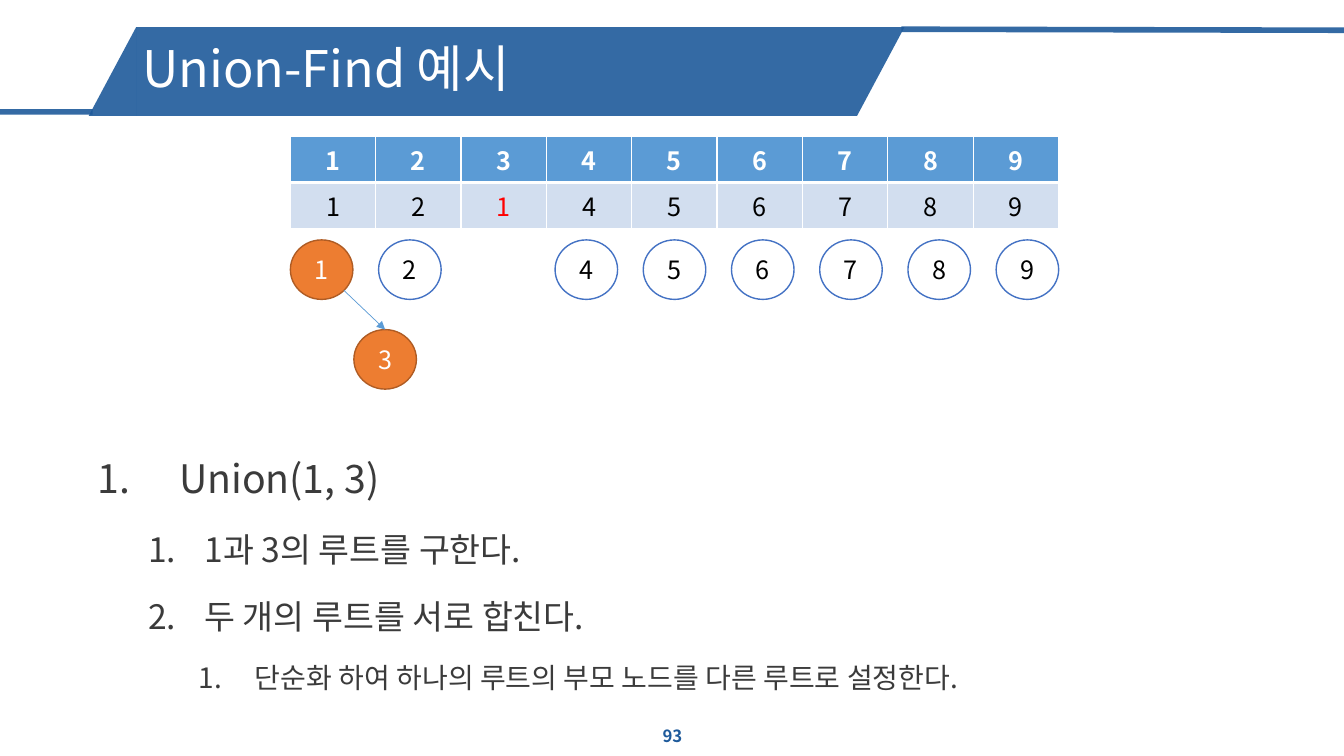
from dataclasses import dataclass

from lxml.etree import SubElement
from pptx import Presentation
from pptx.dml.color import RGBColor
from pptx.enum.shapes import MSO_CONNECTOR, MSO_SHAPE
from pptx.enum.text import MSO_ANCHOR, MSO_AUTO_SIZE, PP_ALIGN
from pptx.oxml.ns import qn
from pptx.util import Inches, Pt


@dataclass(frozen=True)
class Theme:
    font: str = "Noto Sans CJK KR"
    band: str = "1E5A9B"
    white: str = "FFFFFF"
    black: str = "000000"
    body: str = "3B3B3B"
    changed: str = "FF0000"
    header: str = "5B9BD5"
    row: str = "D2DEEF"
    merged: str = "ED7D31"
    merged_line: str = "AF5C24"
    node_line: str = "4472C4"
    title_size: int = 36
    level_sizes: tuple = (28, 24, 20)
    label_size: int = 18
    number_size: int = 12


THEME = Theme()


def color(value):
    return RGBColor.from_string(value)


def write(para, text, size, ink, bold=False, **layout):
    """Fill a paragraph with one formatted span."""
    for name, value in layout.items():
        setattr(para, name, value)
    span = para.add_run()
    span.text = text
    for name, value in dict(name=THEME.font, size=Pt(size), bold=bold).items():
        setattr(span.font, name, value)
    span.font.color.rgb = color(ink)
    SubElement(span.font._element, qn("a:ea"), typeface=THEME.font)


def format_frame(frame, **values):
    for name, value in values.items():
        setattr(frame, name, value)


def make_translucent(fill_element):
    SubElement(fill_element.find(".//" + qn("a:srgbClr")), qn("a:alpha"), val="90000")


def add_line(page, start, end, ink, width):
    line = page.shapes.add_connector(
        MSO_CONNECTOR.STRAIGHT, *(Inches(value) for value in (*start, *end)))
    line.line.color.rgb = color(ink)
    line.line.width = Pt(width)
    SubElement(line._element.spPr, qn("a:effectLst"))
    return line


# Title band
def add_title(page, left, top, width, height):
    slant = 0.47
    turned_top = top + (height - slant) / 2
    turn_shift = (height - slant) / 2
    parts = [
        (MSO_SHAPE.RIGHT_TRIANGLE, left + width - turn_shift, turned_top, height, slant, 90),
        (MSO_SHAPE.RIGHT_TRIANGLE, left - slant - turn_shift, turned_top, height, slant, 270),
        (MSO_SHAPE.RECTANGLE, left, top, width, height, 0),
    ]
    for kind, *box, rotation in parts:
        part = page.shapes.add_shape(kind, *(Inches(value) for value in box))
        part.rotation = rotation
        part.shadow.inherit = False
        part.fill.solid()
        part.fill.fore_color.rgb = color(THEME.band)
        part.line.fill.background()
        make_translucent(part._element.spPr.find(qn("a:solidFill")))

    for start, end in [((0.92, 1.11), (-0.03, 1.11)), ((13.33, 0.3), (8.94, 0.29))]:
        rule = add_line(page, start, end, THEME.band, 4)
        make_translucent(rule._element.spPr.find(qn("a:ln")))

    title = page.shapes.title
    place = dict(left=left - 0.04, top=top + 0.03, width=width, height=0.81)
    for name, value in place.items():
        setattr(title, name, Inches(value))
    format_frame(title.text_frame, word_wrap=True, auto_size=MSO_AUTO_SIZE.NONE,
                 vertical_anchor=MSO_ANCHOR.MIDDLE)
    write(title.text_frame.paragraphs[0], "Union-Find 예시", THEME.title_size,
          THEME.white, alignment=PP_ALIGN.LEFT, line_spacing=0.9)
    # Bring the title in front of the band
    page.shapes._spTree.append(title._element)


# Parent table
def set_borders(cell, bottom_width):
    properties = cell._tc.get_or_add_tcPr()
    widths = dict(lnL=1, lnR=1, lnT=1, lnB=bottom_width)
    for index, (side, width) in enumerate(widths.items()):
        border = properties.makeelement(qn("a:" + side), {"w": str(Pt(width))})
        fill = SubElement(border, qn("a:solidFill"))
        SubElement(fill, qn("a:srgbClr"), val=THEME.white)
        properties.insert(index, border)


def add_parent_table(page, left, top, width, row_height):
    parents = [1, 2, 1, 4, 5, 6, 7, 8, 9]
    rows = [range(1, 10), parents]
    table = page.shapes.add_table(
        2, 9, Inches(left), Inches(top), Inches(width), Inches(2 * row_height)).table
    for r, values in enumerate(rows):
        table.rows[r].height = Inches(row_height)
        for c, value in enumerate(values):
            cell = table.cell(r, c)
            cell.fill.solid()
            cell.fill.fore_color.rgb = color(THEME.row if r else THEME.header)
            set_borders(cell, 1 if r else 3)
            ink = THEME.white if r == 0 else (
                THEME.black if value == c + 1 else THEME.changed)
            write(cell.text_frame.paragraphs[0], str(value), THEME.label_size, ink,
                  bold=r == 0, alignment=PP_ALIGN.CENTER)


# Forest of nodes
def add_node(page, label, left, top, merged):
    node = page.shapes.add_shape(
        MSO_SHAPE.OVAL, Inches(left), Inches(top), Inches(0.62), Inches(0.59))
    node.shadow.inherit = False
    node.fill.solid()
    node.fill.fore_color.rgb = color(THEME.merged if merged else THEME.white)
    node.line.color.rgb = color(THEME.merged_line if merged else THEME.node_line)
    node.line.width = Pt(1)
    format_frame(node.text_frame, margin_left=0, margin_right=0, margin_top=0,
                 margin_bottom=0, vertical_anchor=MSO_ANCHOR.MIDDLE)
    write(node.text_frame.paragraphs[0], str(label), THEME.label_size,
          THEME.white if merged else THEME.black, alignment=PP_ALIGN.CENTER)
    return node


def add_forest(page, left, top, step):
    child_left, child_top = left + 0.63, top + 0.89
    for label in range(1, 10):
        if label == 3:
            child = add_node(page, label, child_left, child_top, True)
        else:
            add_node(page, label, left + (label - 1) * step, top, label == 1)
    arrow = add_line(page, (left + 0.53, top + 0.5), (child_left + 0.31, child_top),
                     THEME.header, 0.5)
    arrow.end_connect(child, 0)
    SubElement(arrow._element.spPr.find(qn("a:ln")), qn("a:tailEnd"), type="triangle")


# Numbered steps
def add_steps(page, left, top, width, height):
    steps = [
        (0, "Union(1, 3)"),
        (1, "1과 3의 루트를 구한다."),
        (1, "두 개의 루트를 서로 합친다."),
        (2, "단순화 하여 하나의 루트의 부모 노드를 다른 루트로 설정한다."),
    ]
    indents = [(0.81, -0.81), (1.06, -0.56), (1.56, -0.56)]
    frame = page.shapes.add_textbox(
        Inches(left), Inches(top), Inches(width), Inches(height)).text_frame
    format_frame(frame, word_wrap=True, auto_size=MSO_AUTO_SIZE.TEXT_TO_FIT_SHAPE)
    for index, (level, text) in enumerate(steps):
        para = frame.add_paragraph() if index else frame.paragraphs[0]
        properties = para._p.get_or_add_pPr()
        for name, value in zip(("marL", "indent"), indents[level]):
            properties.set(name, str(Inches(value)))
        SubElement(properties, qn("a:buFont"), typeface="+mj-lt")
        SubElement(properties, qn("a:buAutoNum"), type="arabicPeriod")
        write(para, text, THEME.level_sizes[level], THEME.body, level=level,
              line_spacing=1.5, space_before=Pt(5 if index else 0))


# Page number
def add_page_number(page, left, top, width, height):
    frame = page.shapes.add_textbox(
        Inches(left), Inches(top), Inches(width), Inches(height)).text_frame
    format_frame(frame, word_wrap=True, vertical_anchor=MSO_ANCHOR.MIDDLE)
    write(frame.paragraphs[0], "93", THEME.number_size, THEME.band, bold=True,
          alignment=PP_ALIGN.CENTER)


def main():
    deck = Presentation()
    deck.slide_width, deck.slide_height = Inches(13.33), Inches(7.5)
    page = deck.slides.add_slide(deck.slide_layouts[5])
    add_title(page, 1.35, 0.27, 7.15, 0.88)
    add_page_number(page, 5.17, 7.1, 3, 0.4)
    add_steps(page, 0.87, 4.23, 11.48, 2.84)
    add_forest(page, 2.88, 2.38, 0.875)
    add_parent_table(page, 2.88, 1.35, 7.62, 0.46)
    deck.save("out.pptx")


if __name__ == "__main__":
    main()
